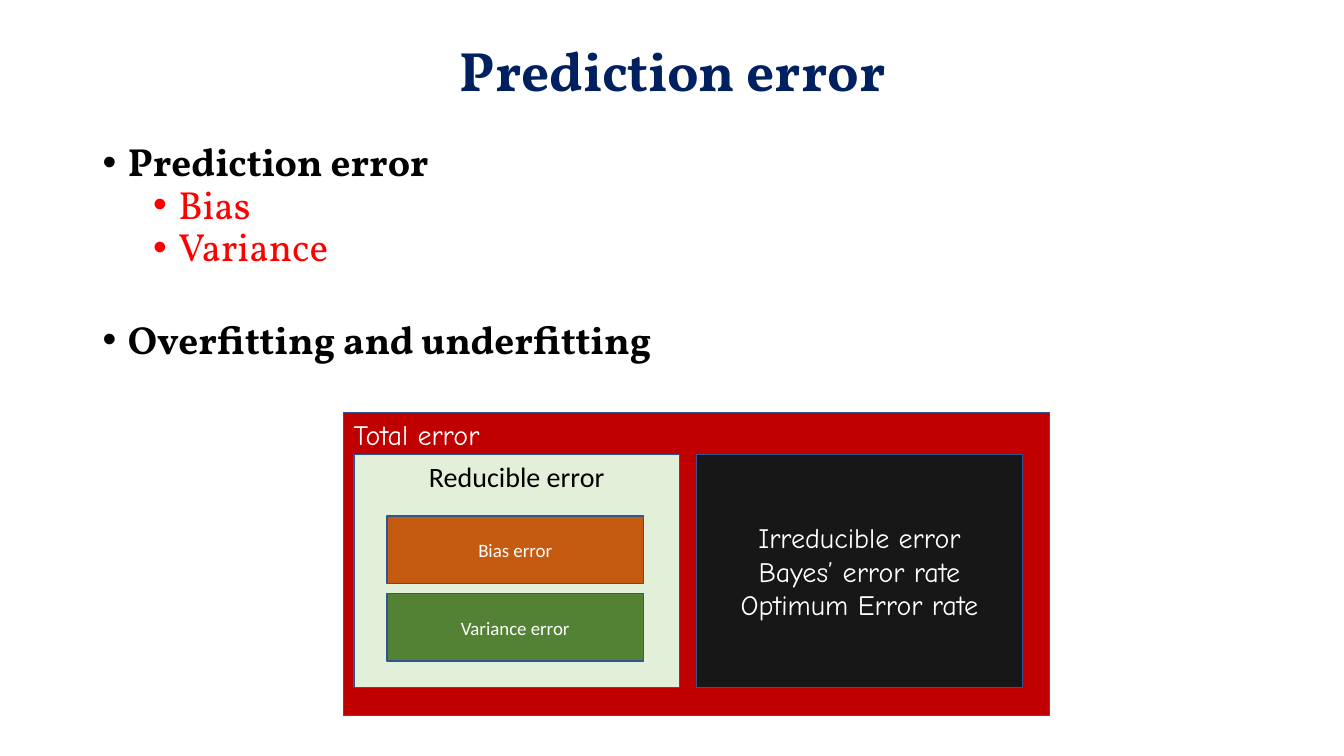
from lxml.etree import SubElement
from pptx import Presentation
from pptx.dml.color import RGBColor
from pptx.enum.shapes import MSO_SHAPE
from pptx.enum.text import MSO_ANCHOR, MSO_AUTO_SIZE, PP_ALIGN
from pptx.oxml.ns import qn
from pptx.util import Inches, Pt

NAVY = RGBColor(0x00, 0x20, 0x60)
BLACK = RGBColor(0x00, 0x00, 0x00)
WHITE = RGBColor(0xFF, 0xFF, 0xFF)
RED = RGBColor(0xFF, 0x00, 0x00)
DARK_RED = RGBColor(0xC0, 0x00, 0x00)
PALE_GREEN = RGBColor(0xE2, 0xF0, 0xD9)
ORANGE = RGBColor(0xC5, 0x5A, 0x11)
GREEN = RGBColor(0x54, 0x82, 0x35)
CHARCOAL = RGBColor(0x18, 0x17, 0x17)
OUTLINE = RGBColor(0x32, 0x54, 0x91)

# Content
TITLE = "Prediction error"
# text, level, space before in points
BULLETS = [
    ("Prediction error", 0, 0),
    ("Bias", 1, 0),
    ("Variance", 1, 0),
    ("Overfitting and underfitting", 0, 36),
]
# level: indent in inches, colour, bold
LEVELS = [(0.25, BLACK, True), (0.75, RED, False)]

LEFT, CENTER = PP_ALIGN.LEFT, PP_ALIGN.CENTER
TOP, MIDDLE = MSO_ANCHOR.TOP, MSO_ANCHOR.MIDDLE
HALF = (3.23, 2.31)
PART = (2.54, 0.67)
IRREDUCIBLE = "Irreducible error\nBayes’ error rate\nOptimum Error rate"
# text, position, size, fill, font, points, font colour, alignment, anchor
ERROR_BOXES = [
    ("Total error", (3.41, 4.09), (7, 3.01), DARK_RED, "Comic Neue", 20, WHITE, LEFT, TOP),
    ("Reducible error", (3.51, 4.51), HALF, PALE_GREEN, "Calibri", 20, BLACK, CENTER, TOP),
    ("Bias error", (3.84, 5.12), PART, ORANGE, "Calibri", 13.5, WHITE, CENTER, MIDDLE),
    ("Variance error", (3.84, 5.89), PART, GREEN, "Calibri", 13.5, WHITE, CENTER, MIDDLE),
    (IRREDUCIBLE, (6.91, 4.51), HALF, CHARCOAL, "Comic Neue", 20, WHITE, CENTER, MIDDLE),
]


def format_runs(para, font, points, color, bold=False):
    for span in para.runs:
        span.font.name = font
        span.font.size = Pt(points)
        span.font.color.rgb = color
        span.font.bold = bold


def add_bullet(para, indent, level):
    properties = para._p.get_or_add_pPr()
    properties.set("marL", str(Inches(indent)))
    properties.set("indent", str(Inches(-0.25)))
    SubElement(properties, qn("a:buFont")).set("typeface", "Arial")
    SubElement(properties, qn("a:buChar")).set("char", "•")
    para.level = level


def add_title(page):
    title = page.shapes.title
    title.left, title.top = Inches(0.92), Inches(0.38)
    title.width, title.height = Inches(11.5), Inches(0.7)
    frame = title.text_frame
    frame.text = TITLE
    frame.auto_size = MSO_AUTO_SIZE.NONE
    frame.vertical_anchor = MIDDLE
    para = frame.paragraphs[0]
    para.alignment = CENTER
    para.line_spacing = 0.9
    format_runs(para, "Vollkorn", 39.6, NAVY, True)


def add_bullets(page):
    box = page.shapes.add_textbox(Inches(0.92), Inches(1.37), Inches(11.5), Inches(2.6))
    frame = box.text_frame
    frame.word_wrap = True
    frame.text = "\n".join(text for text, _, _ in BULLETS)
    for para, (_, level, space) in zip(frame.paragraphs, BULLETS):
        indent, color, bold = LEVELS[level]
        add_bullet(para, indent, level)
        para.line_spacing = 0.9
        para.space_before = Pt(space)
        format_runs(para, "Vollkorn", 28, color, bold)


def add_error_box(group, text, position, size, fill, font, points, color, alignment, anchor):
    lengths = [Inches(value) for value in position + size]
    box = group.shapes.add_shape(MSO_SHAPE.RECTANGLE, *lengths)
    box.shadow.inherit = False
    box.fill.solid()
    box.fill.fore_color.rgb = fill
    box.line.color.rgb = OUTLINE
    box.line.width = Pt(1)
    frame = box.text_frame
    frame.word_wrap = True
    frame.vertical_anchor = anchor
    frame.text = text
    for para in frame.paragraphs:
        para.alignment = alignment
        format_runs(para, font, points, color)


def main():
    deck = Presentation()
    deck.slide_width, deck.slide_height = Inches(13.33), Inches(7.5)
    page = deck.slides.add_slide(deck.slide_layouts[5])
    add_title(page)
    add_bullets(page)

    # Nested diagram of error components
    diagram = page.shapes.add_group_shape()
    for error_box in ERROR_BOXES:
        add_error_box(diagram, *error_box)
    deck.save("out.pptx")


if __name__ == "__main__":
    main()
